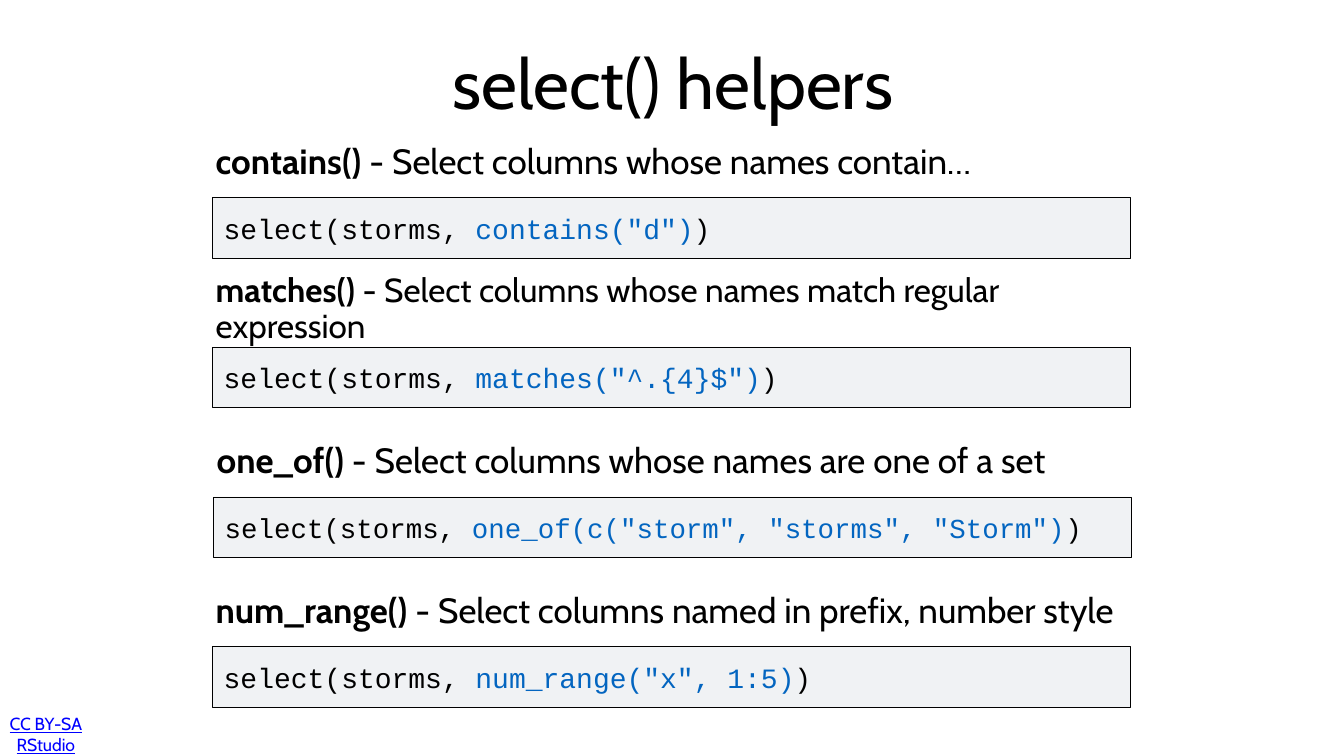
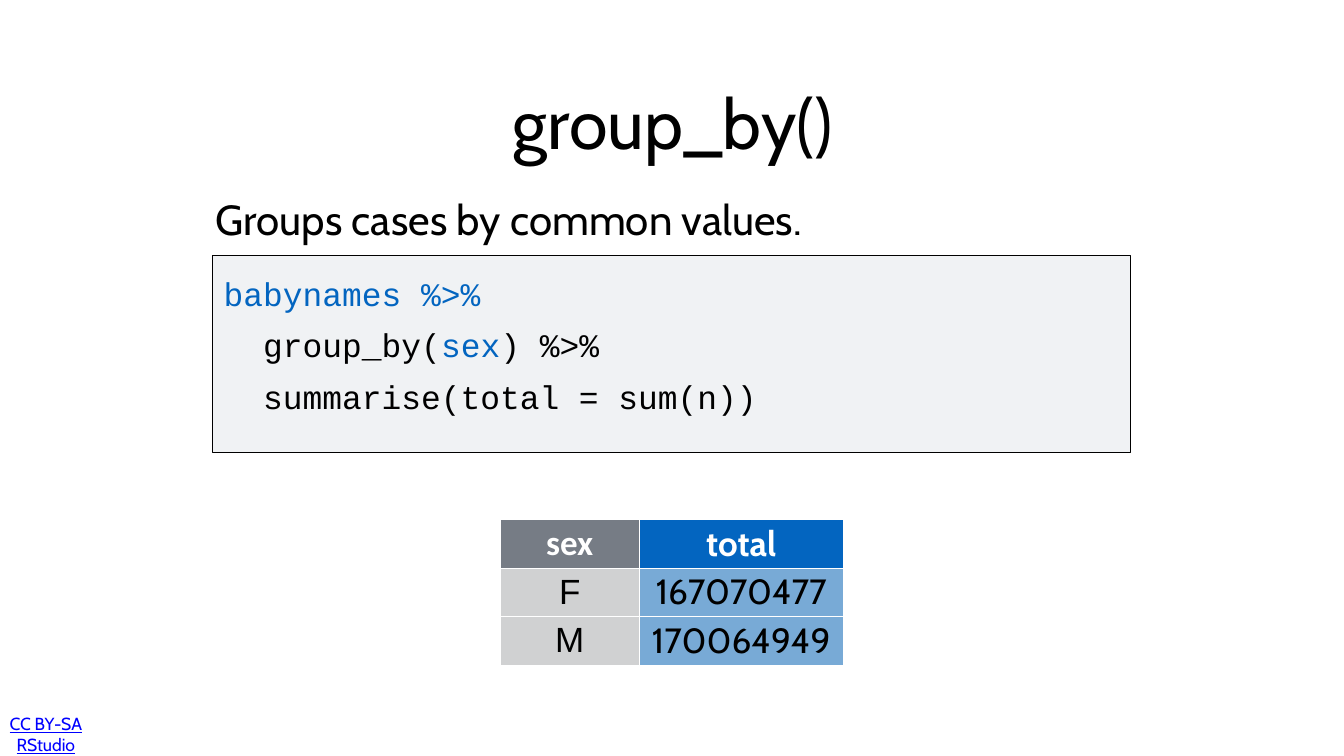
from pptx import Presentation
from pptx.dml.color import RGBColor
from pptx.enum.shapes import MSO_SHAPE
from pptx.enum.text import MSO_ANCHOR, MSO_AUTO_SIZE, PP_ALIGN
from pptx.oxml import parse_xml
from pptx.oxml.ns import nsdecls
from pptx.util import Inches, Pt

BLACK = RGBColor(0x00, 0x00, 0x00)
WHITE = RGBColor(0xFF, 0xFF, 0xFF)
BLUE = RGBColor(0x03, 0x65, 0xC0)
PALE_BLUE = RGBColor(0x78, 0xAA, 0xD6)
GREY = RGBColor(0x76, 0x7C, 0x85)
PALE_GREY = RGBColor(0xD0, 0xD1, 0xD2)
PANEL_FILL = RGBColor(0xF0, 0xF2, 0xF4)
LINK_BLUE = RGBColor(0x00, 0x00, 0xFF)

TEXT_FONT = "Cabin"
CODE_FONT = "Courier New"

SLIDE_WIDTH, SLIDE_HEIGHT = 26.67, 15
TITLE_LEFT, TITLE_WIDTH, TITLE_HEIGHT = 4.4, 17.9, 2.62
COLUMN_LEFT, COLUMN_WIDTH = 4.22, 18.22
LABEL_HEIGHT = 1.56
PANEL_OFFSET = 1.52  # from the top of a label to the top of its panel
CODE_INDENT, CODE_WIDTH = 0.16, 17.24
HELPER_TOP, HELPER_PITCH, HELPER_PANEL_HEIGHT = 2.4, 2.97, 1.2
INSET = 0.06

# Helper name, description, description size, code argument, code size, shift
HELPERS = [
    ("contains()", " - Select columns whose names contain…", 50,
     'contains("d")', 40, 0),
    ("matches() ", "- Select columns whose names match regular expression", 47.5,
     'matches("^.{4}$")', 40, 0),
    ("one_of() ", "- Select columns whose names are one of a set", 50,
     'one_of(c("storm", "storms", "Storm")', 39.2, 0.02),
    ("num_range()", " - Select columns named in prefix, number style", 50,
     'num_range("x", 1:5)', 40, 0),
]

GROUP_BY_CODE = [
    [("babynames %>%", BLUE)],
    [("  group_by(", BLACK), ("sex", BLUE), (") %>%", BLACK)],
    [("  summarise(total = sum(n))", BLACK)],
]

TOTALS = [("sex", "total"), ("F", "167070477"), ("M", "170064949")]


def write(paragraph, text, *, size, font=TEXT_FONT, color=BLACK, bold=False,
          underline=False):
    run = paragraph.add_run()
    run.text = text
    run.font.name = font
    run.font.size = Pt(size)
    run.font.color.rgb = color
    run.font.bold = bold
    run.font.underline = underline


def prepare_frame(frame, anchor, inset=INSET):
    frame.word_wrap = True
    frame.auto_size = MSO_AUTO_SIZE.NONE
    frame.vertical_anchor = anchor
    frame.margin_left = frame.margin_right = Inches(inset)
    frame.margin_top = frame.margin_bottom = Inches(inset)
    return frame


def add_text_frame(slide, left, top, width, height, *,
                   anchor=MSO_ANCHOR.MIDDLE, inset=INSET):
    box = slide.shapes.add_textbox(*map(Inches, (left, top, width, height)))
    return prepare_frame(box.text_frame, anchor, inset)


def add_licence(slide):
    frame = add_text_frame(slide, 0.11, 14.26, 1.6, 0.6, inset=0.02)
    paragraph = frame.paragraphs[0]
    paragraph.alignment = PP_ALIGN.CENTER
    write(paragraph, "CC BY-SA RStudio", size=25, color=LINK_BLUE, underline=True)


def add_titled_slide(presentation, text, top):
    """Add a slide with its licence line and a centred title."""
    slide = presentation.slides.add_slide(presentation.slide_layouts[5])
    add_licence(slide)
    title = slide.shapes.title
    title.left, title.top = Inches(TITLE_LEFT), Inches(top)
    title.width, title.height = Inches(TITLE_WIDTH), Inches(TITLE_HEIGHT)
    paragraph = prepare_frame(title.text_frame, MSO_ANCHOR.MIDDLE).paragraphs[0]
    paragraph.alignment = PP_ALIGN.CENTER
    write(paragraph, text, size=100)
    return slide


def add_label(slide, left, top, text, size, name=""):
    """Add a line of text, led by a function name in bold if there is one."""
    frame = add_text_frame(slide, left, top, COLUMN_WIDTH, LABEL_HEIGHT)
    paragraph = frame.paragraphs[0]
    if name:
        write(paragraph, name, size=size, bold=True)
    write(paragraph, text, size=size)
    return paragraph


def add_code_panel(slide, left, top, height, lines, size,
                   anchor=MSO_ANCHOR.MIDDLE, padding=0.0):
    panel = slide.shapes.add_shape(
        MSO_SHAPE.RECTANGLE, *map(Inches, (left, top, COLUMN_WIDTH, height)))
    panel.shadow.inherit = False
    panel.fill.solid()
    panel.fill.fore_color.rgb = PANEL_FILL
    panel.line.color.rgb = BLACK
    panel.line.width = Pt(1)

    frame = add_text_frame(slide, left + CODE_INDENT, top + padding, CODE_WIDTH,
                           height - 2 * padding, anchor=anchor)
    for index, line in enumerate(lines):
        paragraph = frame.add_paragraph() if index else frame.paragraphs[0]
        if index:
            paragraph.space_before = Pt(17)
        for text, color in line:
            write(paragraph, text, size=size, font=CODE_FONT, color=color)


def set_cell_borders(cell):
    properties = cell._tc.get_or_add_tcPr()
    for position, side in enumerate(("lnL", "lnR", "lnT", "lnB")):
        properties.insert(position, parse_xml(
            f'<a:{side} {nsdecls("a")} w="12700"><a:solidFill>'
            f'<a:srgbClr val="{WHITE}"/></a:solidFill></a:{side}>'))


def add_totals_table(slide, left, top, column_widths, row_height):
    graphic = slide.shapes.add_table(
        len(TOTALS), len(column_widths), Inches(left), Inches(top),
        Inches(sum(column_widths)), Inches(row_height * len(TOTALS)))
    table = graphic.table
    for column, width in zip(table.columns, column_widths):
        column.width = Inches(width)
    for row_index, values in enumerate(TOTALS):
        header = row_index == 0
        fills = (GREY, BLUE) if header else (PALE_GREY, PALE_BLUE)
        fonts = ("Calibri" if header else "Arial", TEXT_FONT)
        for column_index, value in enumerate(values):
            cell = table.cell(row_index, column_index)
            cell.fill.solid()
            cell.fill.fore_color.rgb = fills[column_index]
            cell.vertical_anchor = MSO_ANCHOR.MIDDLE
            cell.margin_left = cell.margin_right = Inches(INSET)
            cell.margin_top = cell.margin_bottom = Inches(INSET)
            set_cell_borders(cell)
            paragraph = cell.text_frame.paragraphs[0]
            paragraph.alignment = PP_ALIGN.CENTER
            write(paragraph, value, size=50, font=fonts[column_index],
                  color=WHITE if header else BLACK, bold=header)


def build_helpers_slide(presentation):
    slide = add_titled_slide(presentation, "select() helpers", 0.3)
    for index, helper in enumerate(HELPERS):
        name, description, label_size, argument, code_size, shift = helper
        left = COLUMN_LEFT + shift
        top = HELPER_TOP + index * HELPER_PITCH
        label = add_label(slide, left, top, description, label_size, name)
        if label_size < 50:
            label.line_spacing = 0.9
        code = [("select(storms, ", BLACK), (argument, BLUE), (")", BLACK)]
        add_code_panel(slide, left, top + PANEL_OFFSET, HELPER_PANEL_HEIGHT,
                       [code], code_size)


def build_group_by_slide(presentation):
    slide = add_titled_slide(presentation, "group_by()", 1.1)
    top = 3.55
    add_label(slide, COLUMN_LEFT, top, "Groups cases by common values.", 60)
    add_code_panel(slide, COLUMN_LEFT, top + PANEL_OFFSET, 3.9, GROUP_BY_CODE, 47,
                   anchor=MSO_ANCHOR.TOP, padding=0.3)
    add_totals_table(slide, 9.93, 10.3, (2.75, 4.06), 0.94)


def main():
    presentation = Presentation()
    presentation.slide_width = Inches(SLIDE_WIDTH)
    presentation.slide_height = Inches(SLIDE_HEIGHT)
    build_helpers_slide(presentation)
    build_group_by_slide(presentation)
    presentation.save("out.pptx")


if __name__ == "__main__":
    main()
